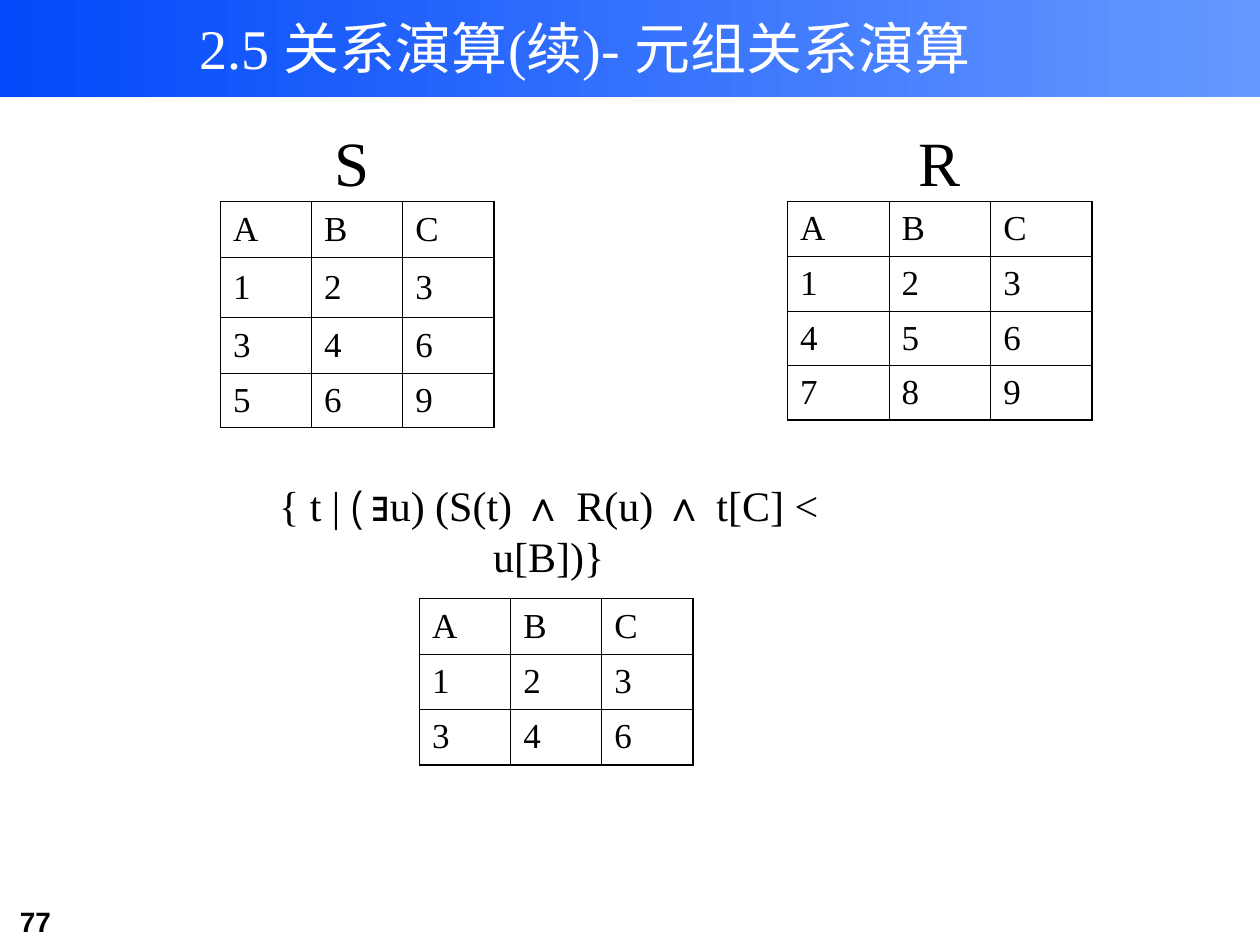
from dataclasses import dataclass

from lxml import etree
from pptx import Presentation
from pptx.dml.color import RGBColor
from pptx.enum import shapes, text
from pptx.oxml import ns
from pptx.util import Inches, Pt


@dataclass(frozen=True)
class Theme:
    ink: str = "000000"
    title_ink: str = "FFFFFF"
    band: tuple = ("0249FA", "6699FF")
    serif: str = "Times New Roman"
    sans: str = "Arial"
    narrow: str = "Arial Narrow"
    title_size: int = 32
    name_size: int = 36
    formula_size: int = 24
    cell_size: int = 20
    number_size: int = 16
    outer_line: float = 1.08
    inner_line: float = 0.45


THEME = Theme()
TITLE = "2.5 关系演算(续)- 元组关系演算"
PAGE_NUMBER = "77"
HEADER = ("A", "B", "C")

# Relations: position, width, row heights, data rows
RELATIONS = [
    {"at": (6.25, 1.6), "width": 2.42, "heights": [0.43, 0.43, 0.43, 0.43],
     "rows": [(1, 2, 3), (4, 5, 6), (7, 8, 9)]},
    {"at": (1.75, 1.6), "width": 2.17, "heights": [0.44, 0.48, 0.44, 0.43],
     "rows": [(1, 2, 3), (3, 4, 6), (5, 6, 9)]},
    {"at": (3.33, 4.75), "width": 2.17, "heights": [0.44, 0.44, 0.44],
     "rows": [(1, 2, 3), (3, 4, 6)]},
]
NAMES = [("R", 7.08), ("S", 2.42)]
FORMULA = [
    ("{ t | ", THEME.serif), ("( ", THEME.narrow), ("∃", THEME.sans),
    ("u) (S(t) ", THEME.serif), ("∧ ", THEME.sans), ("R(u) ", THEME.serif),
    ("∧", THEME.sans), (" t[C] < u[B])}", THEME.serif),
]


def set_font(font, size, name=None, color=THEME.ink, bold=False):
    font.size = Pt(size)
    font.bold = bold
    font.color.rgb = RGBColor.from_string(color)
    if name:
        font.name = name


def add_text(page, area, spans, size, align=None, bold=False):
    """Add a one-paragraph box; spans are (words, font name) pairs."""
    box = page.shapes.add_textbox(*map(Inches, area))
    box.text_frame.word_wrap = True
    para = box.text_frame.paragraphs[0]
    para.alignment = align
    single = spans[0][1] if len(spans) == 1 else None
    set_font(para.font, size, single, bold=bold)
    for words, name in spans:
        span = para.add_run()
        span.text = words
        if not single:
            set_font(span.font, size, name)


def set_borders(cell, widths):
    """Draw left, right, top and bottom cell lines with the given widths."""
    props = cell._tc.get_or_add_tcPr()
    for index, (side, width) in enumerate(zip("LRTB", widths)):
        line = etree.Element(ns.qn(f"a:ln{side}"), w=str(Pt(width)))
        fill = etree.SubElement(line, ns.qn("a:solidFill"))
        etree.SubElement(fill, ns.qn("a:srgbClr"), val=THEME.ink)
        props.insert(index, line)


def add_relation(page, at, width, heights, rows):
    grid = [HEADER, *rows]
    last_row, last_col = len(grid) - 1, len(HEADER) - 1
    area = (*at, width, sum(heights))
    table = page.shapes.add_table(len(grid), len(HEADER), *map(Inches, area)).table
    table.first_row = table.horz_banding = False
    for column in table.columns:
        column.width = Inches(width / len(HEADER))
    for r, (values, height) in enumerate(zip(grid, heights)):
        table.rows[r].height = Inches(height)
        for c, value in enumerate(values):
            cell = table.cell(r, c)
            cell.text = str(value)
            cell.vertical_anchor = text.MSO_ANCHOR.MIDDLE
            cell.fill.background()
            set_font(cell.text_frame.paragraphs[0].font, THEME.cell_size, THEME.serif)
            edges = (c == 0, c == last_col, r == 0, r == last_row)
            set_borders(cell, [THEME.outer_line if edge else THEME.inner_line
                               for edge in edges])


def add_title_band(page):
    band = page.shapes.add_shape(shapes.MSO_SHAPE.RECTANGLE, 0, 0, Inches(10), Inches(0.77))
    band.shadow.inherit = False
    band.line.fill.background()
    band.fill.gradient()
    band.fill.gradient_angle = 0
    for stop, color in zip(band.fill.gradient_stops, THEME.band):
        stop.color.rgb = RGBColor.from_string(color)


def place_title(page):
    title = page.shapes.title
    title.left, title.top, title.width, title.height = map(Inches, (1.04, 0.04, 7.21, 0.67))
    frame = title.text_frame
    frame.text = TITLE
    frame.auto_size = text.MSO_AUTO_SIZE.NONE
    frame.vertical_anchor = text.MSO_ANCHOR.MIDDLE
    para = frame.paragraphs[0]
    para.alignment = text.PP_ALIGN.CENTER
    set_font(para.font, THEME.title_size, THEME.serif, THEME.title_ink)
    title.element.getparent().append(title.element)  # in front of the band


def main():
    deck = Presentation()
    deck.slide_width, deck.slide_height = Inches(10), Inches(7.5)
    page = deck.slides.add_slide(deck.slide_layouts.get_by_name("Title Only"))
    center = text.PP_ALIGN.CENTER
    add_title_band(page)
    add_text(page, (0.06, 7.13, 1.22, 0.37), [(PAGE_NUMBER, THEME.sans)],
             THEME.number_size, bold=True)
    for relation in RELATIONS:
        add_relation(page, **relation)
    for name, left in NAMES:
        add_text(page, (left, 0.93, 0.75, 0.7), [(name, THEME.serif)],
                 THEME.name_size, center)
    add_text(page, (1.82, 3.76, 5.07, 0.5), FORMULA, THEME.formula_size, center)
    place_title(page)
    deck.save("out.pptx")


if __name__ == "__main__":
    main()
